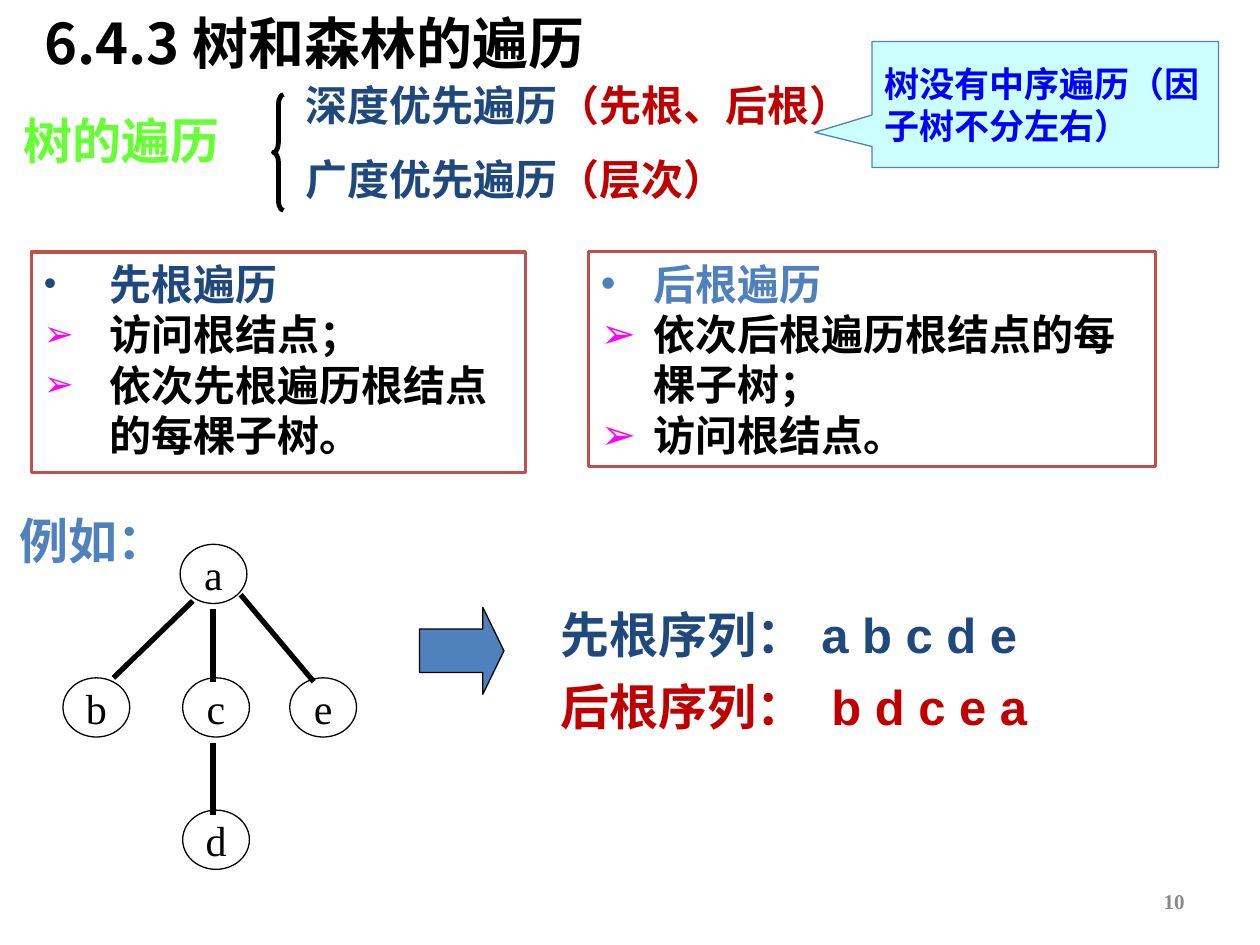
from lxml import etree
from pptx import Presentation
from pptx.dml.color import RGBColor
from pptx.enum.shapes import MSO_CONNECTOR, MSO_SHAPE
from pptx.enum.text import MSO_ANCHOR, MSO_AUTO_SIZE, PP_ALIGN
from pptx.oxml.ns import qn
from pptx.util import Inches, Pt

CJK, SANS, SERIF = "Noto Sans CJK SC", "Arial", "Times New Roman"
BLACK, NAVY, BLUE, RED = "000000", "1F497D", "4F81BD", "C00000"
MAGENTA, BRICK = "FF00FF", "C0504D"


def color(hex_value):
    return RGBColor.from_string(hex_value)


def set_all(target, values):
    for name, value in values.items():
        setattr(target, name, value)


class TreeSlide:
    """Holds the text style and the current slide."""

    frame_format = {
        "margin_left": Inches(0.1), "margin_right": Inches(0.1),
        "margin_top": Inches(0.05), "margin_bottom": Inches(0.05),
        "word_wrap": True, "vertical_anchor": MSO_ANCHOR.TOP,
        "auto_size": MSO_AUTO_SIZE.NONE,
    }

    def __init__(self, presentation):
        self.slide = presentation.slides.add_slide(presentation.slide_layouts[5])
        self.shapes = self.slide.shapes

    def fill_text(self, shape, paragraphs, size, font=SERIF, bold=True,
                  align=PP_ALIGN.LEFT, bullets=None, indent=0, bullet_size=100, **frame):
        """Each paragraph is a list of (text, colour) runs; bullets are (mark, colour)."""
        text_frame = shape.text_frame
        set_all(text_frame, {**self.frame_format, **frame})
        for index, runs in enumerate(paragraphs):
            paragraph = text_frame.paragraphs[0] if index == 0 else text_frame.add_paragraph()
            paragraph.alignment = align
            if bullets:
                self.bullet(paragraph, *bullets[index], indent, bullet_size)
            for text, hex_value in runs:
                run = paragraph.add_run()
                run.text = text
                run.font.color.rgb = color(hex_value)
                set_all(run.font, {"size": Pt(size), "bold": bold, "name": font})
                etree.SubElement(run._r.get_or_add_rPr(), qn("a:ea"), typeface=CJK)

    def bullet(self, paragraph, mark, hex_value, indent, percent):
        properties = paragraph._p.get_or_add_pPr()
        properties.set("marL", str(Inches(indent)))
        properties.set("indent", str(-Inches(indent)))
        bullet_color = etree.SubElement(properties, qn("a:buClr"))
        etree.SubElement(bullet_color, qn("a:srgbClr"), val=hex_value)
        etree.SubElement(properties, qn("a:buSzPct"), val=str(percent * 1000))
        etree.SubElement(properties, qn("a:buFont"), typeface=SANS)
        etree.SubElement(properties, qn("a:buChar"), char=mark)

    def title(self, box, text):
        title = self.shapes.title
        set_all(title, dict(zip(("left", "top", "width", "height"), map(Inches, box))))
        self.fill_text(title, [[(text, BLACK)]], 32, CJK, vertical_anchor=MSO_ANCHOR.MIDDLE)

    def text(self, box, runs, size, font=SERIF, **options):
        options = {"auto_size": MSO_AUTO_SIZE.SHAPE_TO_FIT_TEXT, **options}
        self.fill_text(self.shapes.add_textbox(*map(Inches, box)), [runs], size, font, **options)

    def shape(self, kind, box, line, width=0.75, fill=None, adjustments=(), parent=None):
        shape = (parent or self.shapes).add_shape(kind, *map(Inches, box))
        shape.shadow.inherit = False
        for index, value in enumerate(adjustments):
            shape.adjustments[index] = value
        if fill:
            shape.fill.solid()
            shape.fill.fore_color.rgb = color(fill)
        else:
            shape.fill.background()
        shape.line.color.rgb = color(line)
        shape.line.width = Pt(width)
        return shape

    def edge(self, parent, start, end):
        edge = parent.add_connector(MSO_CONNECTOR.STRAIGHT, *map(Inches, start + end))
        edge.line.color.rgb = color(BLACK)
        edge.line.width = Pt(3)
        etree.SubElement(edge._element.spPr, qn("a:effectLst"))

    def node(self, parent, left, top, letter):
        node = self.shape(MSO_SHAPE.OVAL, (left, top, 0.53, 0.47), BLACK, parent=parent)
        self.fill_text(node, [[(letter, BLACK)]], 24, bold=False, align=PP_ALIGN.CENTER,
                       word_wrap=False, vertical_anchor=MSO_ANCHOR.MIDDLE)

    def steps(self, box, heading, heading_color, lines, **options):
        panel = self.shape(MSO_SHAPE.RECTANGLE, box, BRICK, 1.75)
        paragraphs = [[(heading, heading_color)]] + [[(line, BLACK)] for line in lines]
        bullets = [("•", heading_color)] + [("➢", MAGENTA)] * len(lines)
        self.fill_text(panel, paragraphs, 24, bullets=bullets, **options)


def main():
    presentation = Presentation()
    presentation.slide_width, presentation.slide_height = Inches(10), Inches(7.5)
    page = TreeSlide(presentation)

    # Title and section labels
    page.title((0.25, 0, 5.42, 0.67), "6.4.3 树和森林的遍历")
    page.text((0.09, 0.83, 1.75, 0.57), [("树的遍历", "66FF33")], 28, CJK, word_wrap=False)
    page.text((0.06, 4, 1.36, 0.57), [("例如：", BLUE)], 28, CJK, word_wrap=False)

    # Example tree
    tree = page.shapes.add_group_shape().shapes
    for left, top, letter in [(1.43, 4.32, "a"), (0.5, 5.38, "b"), (1.45, 5.38, "c"),
                              (2.3, 5.38, "e"), (1.45, 6.43, "d")]:
        page.node(tree, left, top, letter)
    for start, end in [((1.53, 4.77), (0.9, 5.38)), ((1.91, 4.72), (2.49, 5.41)),
                       ((1.69, 4.83), (1.69, 5.41)), ((1.69, 5.9), (1.69, 6.47))]:
        page.edge(tree, start, end)

    # Resulting sequences
    page.shape(MSO_SHAPE.RIGHT_ARROW, (3.33, 4.82, 0.67, 0.69), BLACK, fill=BLUE,
               adjustments=(0.5, 0.25))
    for top, label, letters, letters_left, hex_value in [
            (4.75, "先根序列：", "a b c d e", 6.42, NAVY),
            (5.32, "后根序列：", "b d c e a", 6.5, RED)]:
        page.text((4.35, top, 2.14, 0.57), [(label, hex_value)], 28, SANS, word_wrap=False)
        page.text((letters_left, top, 2.08, 0.57), [(letters, hex_value)], 28, SANS)

    # Kinds of traversal
    page.shape(MSO_SHAPE.LEFT_BRACE, (2.17, 0.75, 0.08, 0.92), BLACK, 2.75,
               adjustments=(1, 0.5))
    for top, width, order, variants in [(0.58, 4.75, "深度优先遍历", "（先根、后根）"),
                                        (1.17, 3.75, "广度优先遍历", "（层次）")]:
        page.text((2.33, top, width, 0.5), [(order, NAVY), (variants, RED)], 24)

    # Traversal steps
    page.steps((0.25, 2, 3.92, 1.75), "先根遍历", NAVY,
               ["访问根结点；", "依次先根遍历根结点的每棵子树。"],
               font=SANS, indent=0.52, bullet_size=85)
    page.steps((4.67, 2, 4.5, 1.7), "后根遍历", BLUE,
               ["依次后根遍历根结点的每棵子树；", "访问根结点。"],
               indent=0.42, auto_size=MSO_AUTO_SIZE.SHAPE_TO_FIT_TEXT)

    # Callout
    callout = page.shape(MSO_SHAPE.RECTANGULAR_CALLOUT, (6.92, 0.33, 2.75, 1), BLUE,
                         fill="CCFFFF", adjustments=(-0.665, 0.221))
    page.fill_text(callout, [[("树没有中序遍历（因子树不分左右）", "0000FF")]], 20,
                   vertical_anchor=MSO_ANCHOR.MIDDLE)

    # Page number
    page.text((7.17, 6.95, 2.33, 0.4), [("10", "898989")], 12, align=PP_ALIGN.RIGHT,
              vertical_anchor=MSO_ANCHOR.MIDDLE, auto_size=MSO_AUTO_SIZE.NONE)

    presentation.save("out.pptx")


if __name__ == "__main__":
    main()
